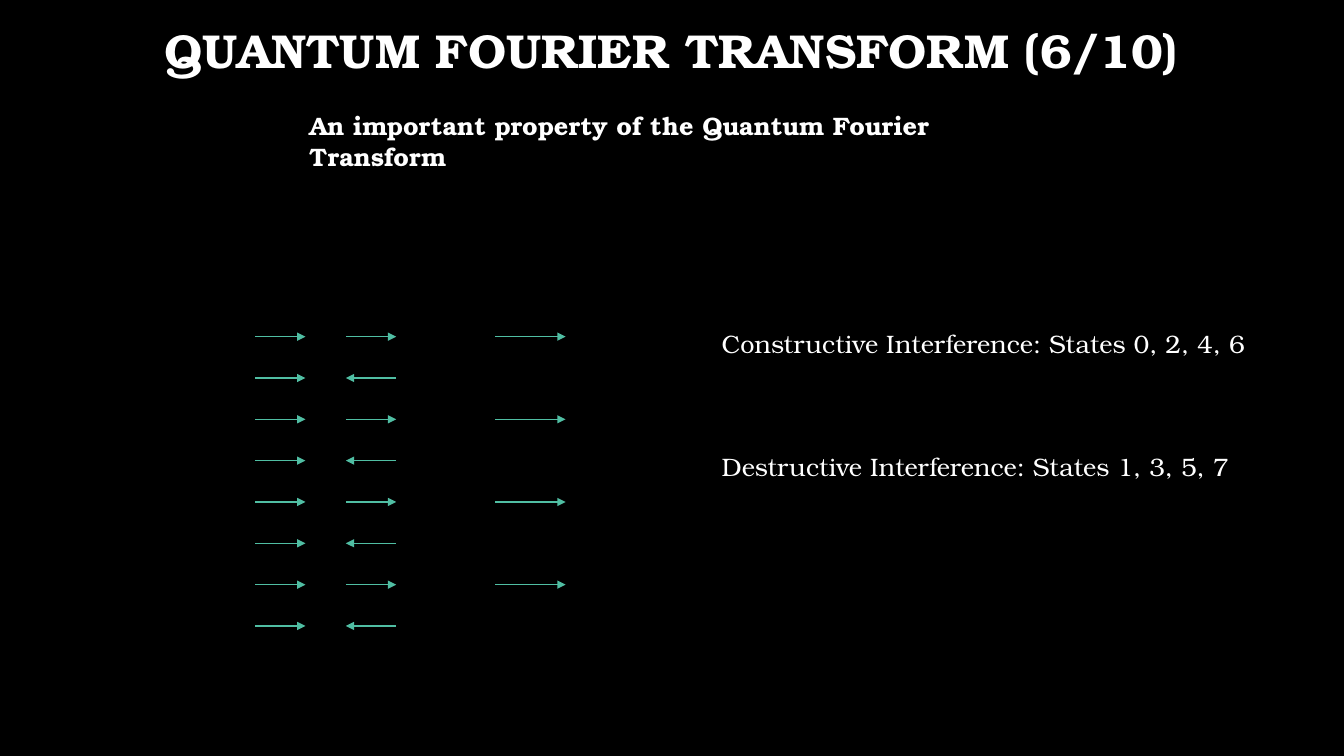
from lxml import etree
from pptx import Presentation
from pptx.dml.color import RGBColor
from pptx.enum.shapes import MSO_CONNECTOR as Connector
from pptx.enum.text import MSO_ANCHOR as Anchor, PP_ALIGN as Align
from pptx.oxml.ns import qn
from pptx.util import Inches, Pt

BLACK = RGBColor(0x00, 0x00, 0x00)
WHITE = RGBColor(0xFF, 0xFF, 0xFF)
TEAL = RGBColor(0x50, 0xBE, 0xA3)
FONT = "TeX Gyre Bonum"

STATES = 8
FIRST_ROW = 3.34
ROW_STEP = 0.41


def add_text(page, left, top, width, height, text, size=18, bold=False):
    box = page.shapes.add_textbox(
        Inches(left), Inches(top), Inches(width), Inches(height)
    )
    box.text_frame.word_wrap = True
    para = box.text_frame.paragraphs[0]
    span = para.add_run()
    span.text = text
    span.font.name = FONT
    span.font.size = Pt(size)
    span.font.bold = bold
    span.font.color.rgb = WHITE
    return box


def add_title(page, text):
    box = add_text(page, 1, 0.21, 11.32, 0.63, text, size=34, bold=True)
    box.text_frame.vertical_anchor = Anchor.MIDDLE
    para = box.text_frame.paragraphs[0]
    para.alignment = Align.CENTER
    para.line_spacing = 0.9


def add_arrow(page, start, end, y):
    arrow = page.shapes.add_connector(
        Connector.STRAIGHT, Inches(start), Inches(y), Inches(end), Inches(y)
    )
    arrow.line.color.rgb = TEAL
    arrow.line.width = Pt(1)
    line = arrow.line._get_or_add_ln()
    etree.SubElement(line, qn("a:tailEnd"), type="triangle")
    etree.SubElement(arrow._element.spPr, qn("a:effectLst"))


def add_interference(page):
    for state in range(STATES):
        y = FIRST_ROW + state * ROW_STEP
        add_arrow(page, 2.53, 3.03, y)
        if state % 2 == 0:
            add_arrow(page, 3.43, 3.93, y)
            add_arrow(page, 4.91, 5.61, y)
        else:
            add_arrow(page, 3.93, 3.43, y)


def main():
    deck = Presentation()
    deck.slide_width = Inches(13.33)
    deck.slide_height = Inches(7.5)
    page = deck.slides.add_slide(deck.slide_layouts[6])
    page.background.fill.solid()
    page.background.fill.fore_color.rgb = BLACK

    add_title(page, "QUANTUM FOURIER TRANSFORM (6/10)")
    add_text(page, 2.97, 1.05, 7.4, 0.4,
             "An important property of the Quantum Fourier Transform", bold=True)
    add_interference(page)
    add_text(page, 7.06, 3.21, 5.4, 0.4,
             "Constructive Interference: States 0, 2, 4, 6")
    add_text(page, 7.06, 4.43, 5.4, 0.4,
             "Destructive Interference: States 1, 3, 5, 7")
    deck.save("out.pptx")


if __name__ == "__main__":
    main()
